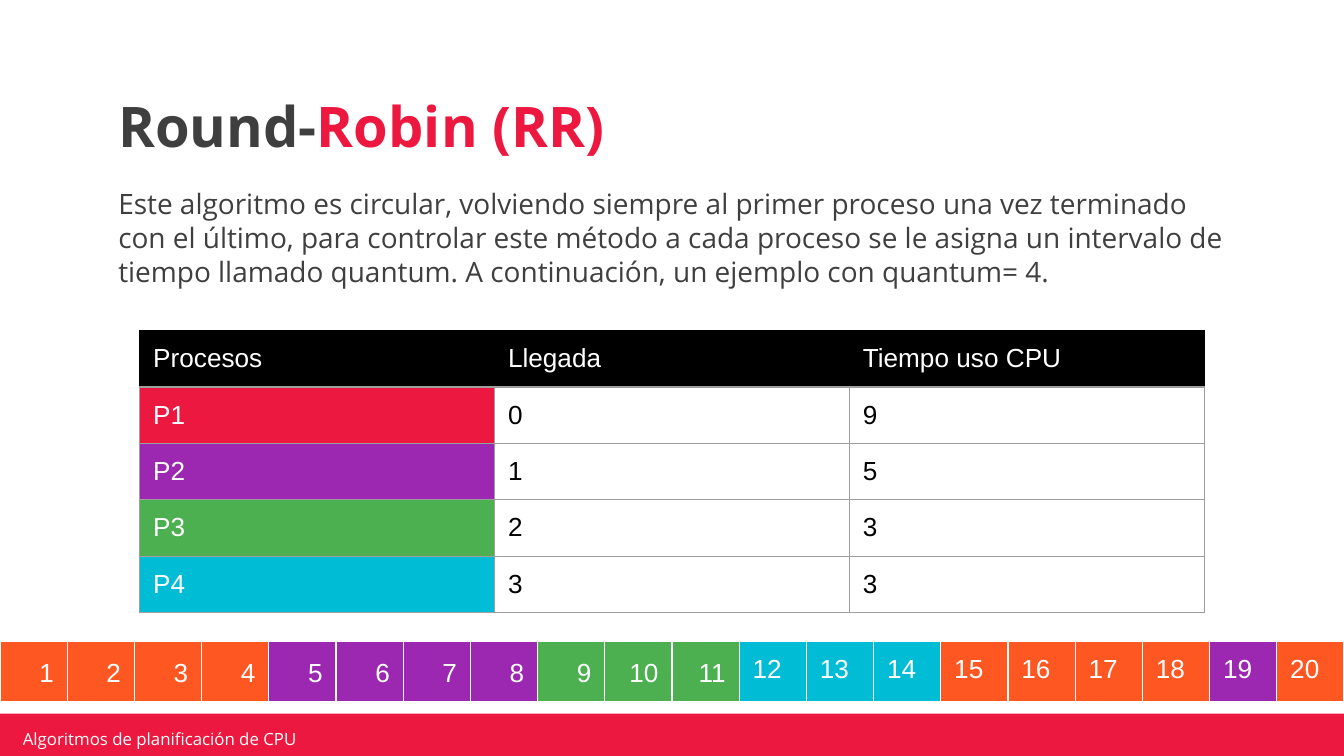
import pptx
import pptx.util
import pptx.dml.color
import pptx.enum.shapes
import pptx.enum.text
import pptx.oxml
import pptx.oxml.ns

Inches = pptx.util.Inches
COLORS = {
    "white": "FFFFFF", "black": "000000", "text": "3F3F3F", "border": "9E9E9E",
    "red": "EC183F", "purple": "9C27B0", "green": "4CAF50",
    "cyan": "00BCD4", "orange": "FF5722",
}


def format_run(run, size, font, color, bold=False):
    """Set the size, typeface, colour and weight of a run."""
    run.font.size = pptx.util.Pt(size)
    run.font.name = font
    run.font.bold = bold
    run.font.color.rgb = pptx.dml.color.RGBColor.from_string(COLORS[color])


def format_cell(cell, text, color, fill, border):
    """Write a table cell with its fill and four borders."""
    cell.text = text
    format_run(cell.text_frame.paragraphs[0].runs[0], 14, "Arial", color)
    cell.margin_left = cell.margin_right = cell.margin_top = Inches(0.1)
    cell.margin_bottom = Inches(0.08)
    cell.fill.solid()
    cell.fill.fore_color.rgb = pptx.dml.color.RGBColor.from_string(COLORS[fill])
    properties = cell._tc.get_or_add_tcPr()
    for index, side in enumerate(("lnL", "lnR", "lnT", "lnB")):
        properties.insert(index, pptx.oxml.parse_xml(
            f'<a:{side} {pptx.oxml.ns.nsdecls("a")} w="9525"><a:solidFill>'
            f'<a:srgbClr val="{COLORS[border]}"/></a:solidFill></a:{side}>'))


presentation = pptx.Presentation()
presentation.slide_width = Inches(10)
presentation.slide_height = Inches(10 * 9 / 16)
slide = presentation.slides.add_slide(presentation.slide_layouts[1])
shapes = slide.shapes

# Footer
band = shapes.add_shape(pptx.enum.shapes.MSO_SHAPE.RECTANGLE,
                        Inches(-0.02), Inches(5.31), Inches(10.03), Inches(0.36))
band.shadow.inherit = False
band.fill.solid()
band.fill.fore_color.rgb = pptx.dml.color.RGBColor.from_string(COLORS["red"])
band.line.fill.background()

footer = shapes.add_textbox(Inches(0.12), Inches(5.42), Inches(2.39), Inches(0.15))
frame = footer.text_frame
frame.word_wrap = True
frame.vertical_anchor = pptx.enum.text.MSO_ANCHOR.MIDDLE
frame.margin_left = frame.margin_right = Inches(0.05)
frame.margin_top = frame.margin_bottom = Inches(0.02)
frame.text = "Algoritmos de planificación de CPU"
format_run(frame.paragraphs[0].runs[0], 9, "Open Sans", "white")

# Title and description
title, body = shapes.title, slide.placeholders[1]
for placeholder, top, height in ((title, 0.6, 0.69), (body, 1.29, 1.53)):
    placeholder.left, placeholder.top = Inches(0.78), Inches(top)
    placeholder.width, placeholder.height = Inches(8.43), Inches(height)
    frame = placeholder.text_frame
    frame.word_wrap = True
    frame.auto_size = pptx.enum.text.MSO_AUTO_SIZE.NONE
    frame.margin_left = frame.margin_right = Inches(0.1)
    frame.margin_top = frame.margin_bottom = Inches(0.1)

title.text_frame.vertical_anchor = pptx.enum.text.MSO_ANCHOR.BOTTOM
paragraph = title.text_frame.paragraphs[0]
paragraph.alignment = pptx.enum.text.PP_ALIGN.LEFT
paragraph.line_spacing = 0.9
for text, color in (("Round-", "text"), ("Robin (RR)", "red")):
    run = paragraph.add_run()
    run.text = text
    format_run(run, 30, "Open Sans", color, bold=True)

body.text_frame.vertical_anchor = pptx.enum.text.MSO_ANCHOR.TOP
body.text_frame.text = (
    "Este algoritmo es circular, volviendo siempre al primer proceso una vez "
    "terminado con el último, para controlar este método a cada proceso se le "
    "asigna un intervalo de tiempo llamado quantum. A continuación, un ejemplo "
    "con quantum= 4.")
paragraph = body.text_frame.paragraphs[0]
paragraph.space_before = pptx.util.Pt(6)
paragraph.line_spacing = 1.0
format_run(paragraph.runs[0], 15, "Open Sans", "text")
properties = paragraph._p.get_or_add_pPr()
properties.set("marL", "0")
properties.set("indent", "0")
properties.append(pptx.oxml.parse_xml(f'<a:buNone {pptx.oxml.ns.nsdecls("a")}/>'))

# Process table
processes = [
    ("Procesos", "Llegada", "Tiempo uso CPU"),
    ("P1", "0", "9"), ("P2", "1", "5"), ("P3", "2", "3"), ("P4", "3", "3"),
]
row_fills = ["black", "red", "purple", "green", "cyan"]
process_table = shapes.add_table(5, 3, Inches(1.04), Inches(2.46),
                                 Inches(7.92), Inches(2.1)).table
process_table.first_row = process_table.horz_banding = False
for row, (values, fill) in enumerate(zip(processes, row_fills)):
    for column, value in enumerate(values):
        filled = row == 0 or column == 0
        format_cell(process_table.cell(row, column), value,
                    "white" if filled else "black", fill if filled else "white",
                    "black" if row == 0 else "border")

# Timeline of CPU turns
turns = [("orange", 4), ("purple", 4), ("green", 3), ("cyan", 3),
         ("orange", 4), ("purple", 1), ("orange", 1)]
slots = [color for color, length in turns for _ in range(length)]
timeline = shapes.add_table(1, len(slots), Inches(0), Inches(4.77),
                            Inches(10), Inches(0.21)).table
timeline.first_row = timeline.horz_banding = False
for column, fill in enumerate(slots):
    cell = timeline.cell(0, column)
    format_cell(cell, str(column + 1), "white", fill, "white")
    if column < 11:
        paragraph = cell.text_frame.paragraphs[0]
        paragraph.alignment = pptx.enum.text.PP_ALIGN.RIGHT
        paragraph.line_spacing = 1.15

presentation.save("out.pptx")
